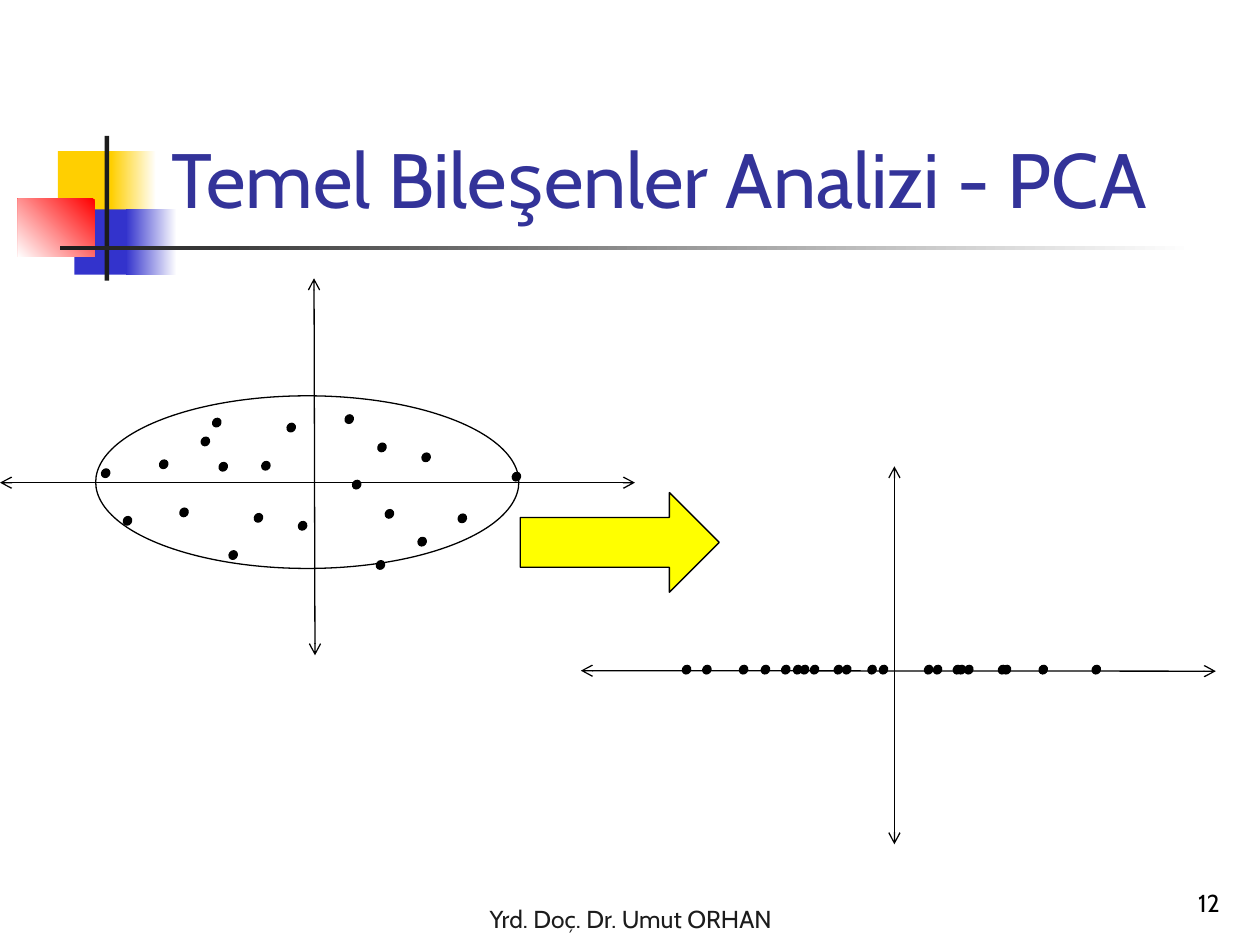
from dataclasses import dataclass
from typing import Optional

import lxml.etree
import pptx
import pptx.dml.color
import pptx.enum.shapes
import pptx.enum.text
import pptx.oxml
import pptx.oxml.ns
import pptx.util

Cm = pptx.util.Cm
SHAPE = pptx.enum.shapes.MSO_SHAPE
ALIGN = pptx.enum.text.PP_ALIGN
FONT = "Cabin"
COLOURS = {
    "white": "FFFFFF",
    "black": "000000",
    "charcoal": "1C1C1C",
    "gold": "FFCF01",
    "blue": "3333CC",
    "red": "FF0000",
    "yellow": "FFFF00",
    "title": "333399",
}
DOT_WIDTH, DOT_HEIGHT, DOT_TILT = 0.16, 0.18, 37.2
PROJECTION_Y = 13.5


@dataclass
class Block:
    left: float
    top: float
    width: float
    height: float
    colour: str
    fade_to: Optional[str] = None
    angle: float = 180


@dataclass
class Axis:
    x1: float
    y1: float
    x2: float
    y2: float


BLOCKS = [
    Block(1.17, 3.05, 1.22, 1.32, "gold"),
    Block(2.24, 3.05, 0.91, 1.32, "white", "gold"),
    Block(1.5, 4.22, 1.17, 1.32, "blue"),
    Block(2.54, 4.22, 1.02, 1.32, "white", "blue"),
    Block(0.36, 4.01, 1.55, 1.17, "red", "white", 225),
    Block(2.11, 2.74, 0.09, 2.92, "charcoal"),
    Block(1.22, 4.95, 22.86, 0.09, "white", "charcoal"),
]
SCATTER_AXES = [Axis(6.33, 5.61, 6.35, 13.21), Axis(0, 9.73, 12.8, 9.73)]
PROJECTION_AXES = [Axis(18.03, 9.4, 18.03, 17.02), Axis(11.71, 13.52, 24.51, 13.53)]
SCATTER_POINTS = [
    (4.37, 8.52), (5.36, 9.39), (3.71, 10.33), (2.13, 9.54), (6.1, 10.6),
    (7.67, 11.39), (2.57, 10.5), (9.32, 10.45), (8.59, 9.22), (7.04, 8.45),
    (10.41, 9.61), (3.3, 9.36), (7.19, 9.77), (7.85, 10.36), (4.7, 11.19),
    (5.87, 8.62), (7.7, 9.02), (4.14, 8.9), (5.21, 10.44), (4.5, 9.41),
    (8.51, 10.92),
]
PROJECTED_X = [
    16.08, 17.07, 15.43, 13.84, 17.81, 19.3, 14.25, 21.03, 20.29, 18.72, 22.1,
    14.99, 18.9, 19.53, 16.42, 17.58, 19.38, 15.84, 16.9, 16.22, 20.21,
]


def rgb(name: str) -> pptx.dml.color.RGBColor:
    return pptx.dml.color.RGBColor.from_string(COLOURS[name])


def write_text(box, text: str, *, size: float, colour: str, align=ALIGN.LEFT) -> None:
    frame = box.text_frame
    frame.word_wrap = True
    frame.auto_size = pptx.enum.text.MSO_AUTO_SIZE.NONE
    frame.vertical_anchor = pptx.enum.text.MSO_ANCHOR.BOTTOM
    para = frame.paragraphs[0]
    para.alignment = align
    span = para.add_run()
    span.text = text
    span.font.name = FONT
    span.font.size = pptx.util.Pt(size)
    span.font.color.rgb = rgb(colour)


def draw_block(shapes, block: Block) -> None:
    shape = shapes.add_shape(SHAPE.RECTANGLE, Cm(block.left), Cm(block.top),
                             Cm(block.width), Cm(block.height))
    shape.shadow.inherit = False
    shape.line.fill.background()
    if block.fade_to is None:
        shape.fill.solid()
        shape.fill.fore_color.rgb = rgb(block.colour)
        return
    shape.fill.gradient()
    shape.fill.gradient_angle = block.angle
    for stop, name in zip(shape.fill.gradient_stops, (block.colour, block.fade_to)):
        stop.color.rgb = rgb(name)


def draw_outlined(shapes, kind, left: float, top: float, width: float, height: float,
                  colour: Optional[str] = None, tilt: float = 0) -> None:
    shape = shapes.add_shape(kind, Cm(left), Cm(top), Cm(width), Cm(height))
    shape.shadow.inherit = False
    shape.rotation = tilt
    shape.line.color.rgb = rgb("black")
    shape.line.width = pptx.util.Pt(0.75)
    if colour is None:
        shape.fill.background()
    else:
        shape.fill.solid()
        shape.fill.fore_color.rgb = rgb(colour)


def draw_dot(shapes, x: float, y: float) -> None:
    draw_outlined(shapes, SHAPE.OVAL, x - DOT_WIDTH / 2, y - DOT_HEIGHT / 2,
                  DOT_WIDTH, DOT_HEIGHT, "black", DOT_TILT)


def draw_axis(shapes, axis: Axis) -> None:
    connector = shapes.add_connector(pptx.enum.shapes.MSO_CONNECTOR.STRAIGHT,
                                     Cm(axis.x1), Cm(axis.y1), Cm(axis.x2), Cm(axis.y2))
    connector.line.color.rgb = rgb("black")
    connector.line.width = pptx.util.Pt(0.75)
    outline = connector.line._get_or_add_ln()
    for end in ("a:headEnd", "a:tailEnd"):
        lxml.etree.SubElement(outline, pptx.oxml.ns.qn(end), type="arrow")
    lxml.etree.SubElement(connector._element.spPr, pptx.oxml.ns.qn("a:effectLst"))


def main() -> None:
    deck = pptx.Presentation()
    deck.slide_width, deck.slide_height = Cm(25.4), Cm(19.05)
    page = deck.slides.add_slide(deck.slide_layouts.get_by_name("Title Only"))
    shapes = page.shapes

    for block in BLOCKS:
        draw_block(shapes, block)

    title = shapes.title
    title.left, title.top, title.width, title.height = Cm(3.2), Cm(0.58), Cm(21.64), Cm(4.06)
    write_text(title, "Temel Bileşenler Analizi - PCA", size=44, colour="title")
    footer = shapes.add_textbox(Cm(0.51), Cm(18.08), Cm(24.41), Cm(0.86))
    write_text(footer, "Yrd. Doç. Dr. Umut ORHAN", size=14, colour="charcoal",
               align=ALIGN.CENTER)

    for axis in SCATTER_AXES:
        draw_axis(shapes, axis)
    scatter = shapes.add_group_shape().shapes
    for x, y in SCATTER_POINTS:
        draw_dot(scatter, x, y)
    draw_outlined(scatter, SHAPE.OVAL, 1.93, 7.98, 8.53, 3.48)

    draw_outlined(shapes, SHAPE.RIGHT_ARROW, 10.49, 9.93, 4.01, 2.01, "yellow")

    projection = shapes.add_group_shape().shapes
    for axis in PROJECTION_AXES:
        draw_axis(projection, axis)
    for x in PROJECTED_X:
        draw_dot(projection, x, PROJECTION_Y)

    number = shapes.add_textbox(Cm(19.56), Cm(17.35), Cm(5.28), Cm(1.27))
    write_text(number, "12", size=14, colour="black", align=ALIGN.RIGHT)

    deck.save("out.pptx")


if __name__ == "__main__":
    main()
